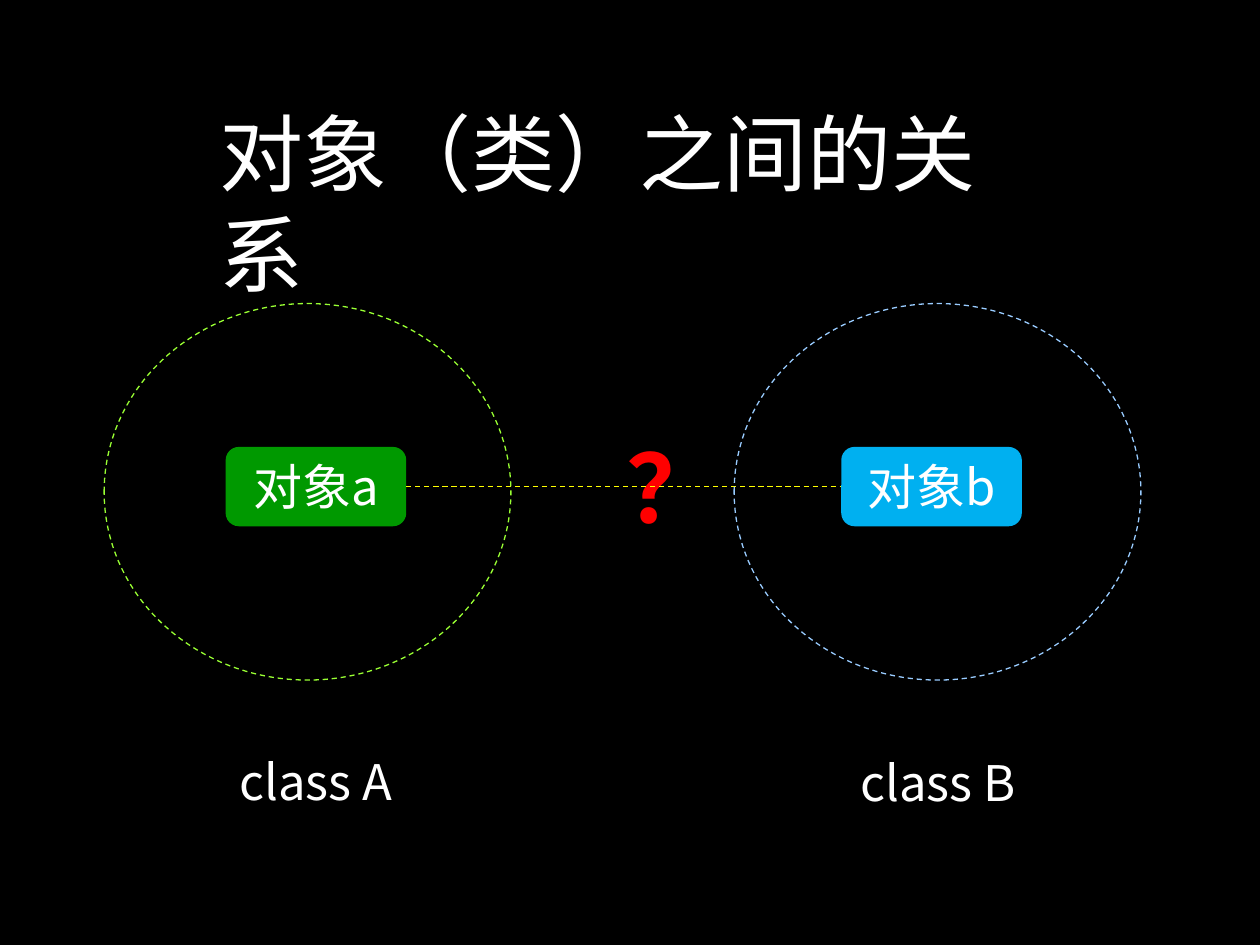
from lxml.etree import SubElement
from pptx import Presentation
from pptx.dml.color import RGBColor
from pptx.enum.dml import MSO_LINE
from pptx.enum.shapes import MSO_CONNECTOR, MSO_SHAPE
from pptx.enum.text import MSO_ANCHOR, MSO_AUTO_SIZE, PP_ALIGN
from pptx.oxml.ns import qn
from pptx.util import Cm, Pt

HUES = {
    "back": "000000", "text": "FFFFFF", "mark": "FF0000", "link": "FFFF00",
    "green": "009900", "blue": "00B0F0", "lime": "99FF33", "sky": "99CCFF",
}
SANS = "Noto Sans CJK SC"
MONO = "DejaVu Sans Mono"


class Board:
    def __init__(self, slide):
        self.slide = slide
        self.shapes = slide.shapes
        self.paint(slide.background.fill, "back")

    def paint(self, fill, hue):
        fill.solid()
        fill.fore_color.rgb = RGBColor.from_string(HUES[hue])

    def dash(self, line, hue):
        self.paint(line.fill, hue)
        line.width = Pt(0.75)
        line.dash_style = MSO_LINE.DASH

    def words(self, shape, text, size=28, hue="text", face=SANS, bold=False,
              align=PP_ALIGN.CENTER, wrap=True):
        frame = shape.text_frame
        frame.word_wrap = wrap
        frame.auto_size = MSO_AUTO_SIZE.SHAPE_TO_FIT_TEXT
        para = frame.paragraphs[0]
        para.text = text
        para.alignment = align
        font = para.font
        font.size = Pt(size)
        font.bold = bold
        font.name = face
        self.paint(font.fill, hue)
        props = para._p.pPr.find(qn("a:defRPr"))
        SubElement(props, qn("a:ea")).set("typeface", face)

    def shape(self, kind, left, top, width, height, fill=None, line=None):
        shape = self.shapes.add_shape(
            kind, Cm(left), Cm(top), Cm(width), Cm(height))
        shape.shadow.inherit = False
        if fill:
            self.paint(shape.fill, fill)
        else:
            shape.fill.background()
        if line:
            self.dash(shape.line, line)
        else:
            shape.line.fill.background()
        return shape

    def box(self, text, left, top, width, fill=None):
        shape = self.shape(
            MSO_SHAPE.ROUNDED_RECTANGLE, left, top, width, 1.6, fill)
        shape.text_frame.vertical_anchor = MSO_ANCHOR.TOP
        self.words(shape, text)

    def ring(self, left, hue):
        self.shape(MSO_SHAPE.OVAL, left, 6.12, 8.2, 7.59, line=hue)

    def label(self, text, left, top, width, height, **style):
        shape = self.shapes.add_textbox(
            Cm(left), Cm(top), Cm(width), Cm(height))
        self.words(shape, text, wrap=False, **style)

    def link(self, left, right, top, hue):
        line = self.shapes.add_connector(
            MSO_CONNECTOR.STRAIGHT, Cm(left), Cm(top), Cm(right), Cm(top))
        self.dash(line.line, hue)
        SubElement(line._element.spPr, qn("a:effectLst"))


def main():
    deck = Presentation()
    deck.slide_width, deck.slide_height = Cm(25.4), Cm(19.05)
    board = Board(deck.slides.add_slide(deck.slide_layouts[6]))

    board.box("对象a", 4.55, 9.01, 3.64, "green")
    board.box("对象b", 16.96, 9.01, 3.64, "blue")
    board.label("？", 12.37, 8.53, 2.41, 2.54,
                size=54, hue="mark", face=MONO, bold=True)
    board.label("对象（类）之间的关系", 4.17, 1.93, 17.42, 2.29,
                size=48, align=PP_ALIGN.LEFT)
    board.link(8.19, 16.96, 9.81, "link")
    for left, hue in ((2.1, "lime"), (14.8, "sky")):
        board.ring(left, hue)
    board.box("class A", 4.01, 14.95, 4.72)
    board.box("class B", 16.89, 14.97, 4.04)
    deck.save("out.pptx")


if __name__ == "__main__":
    main()
